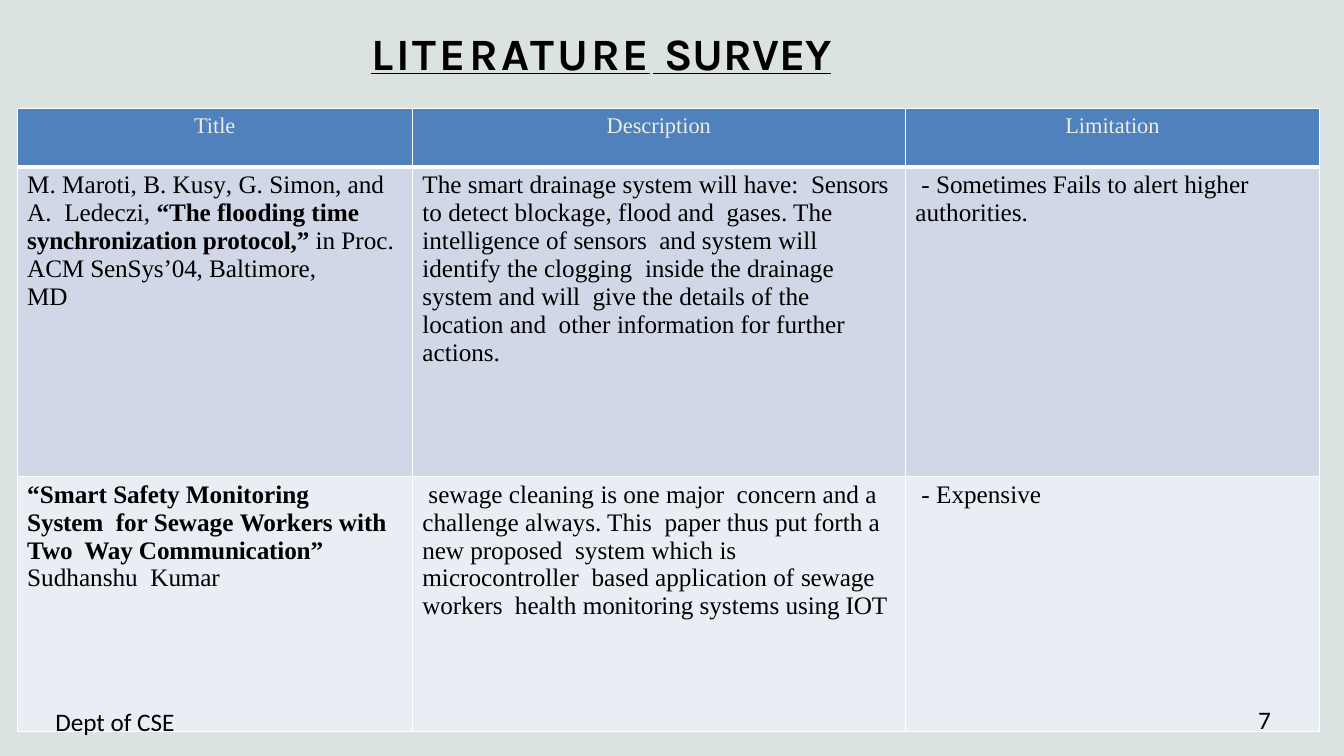
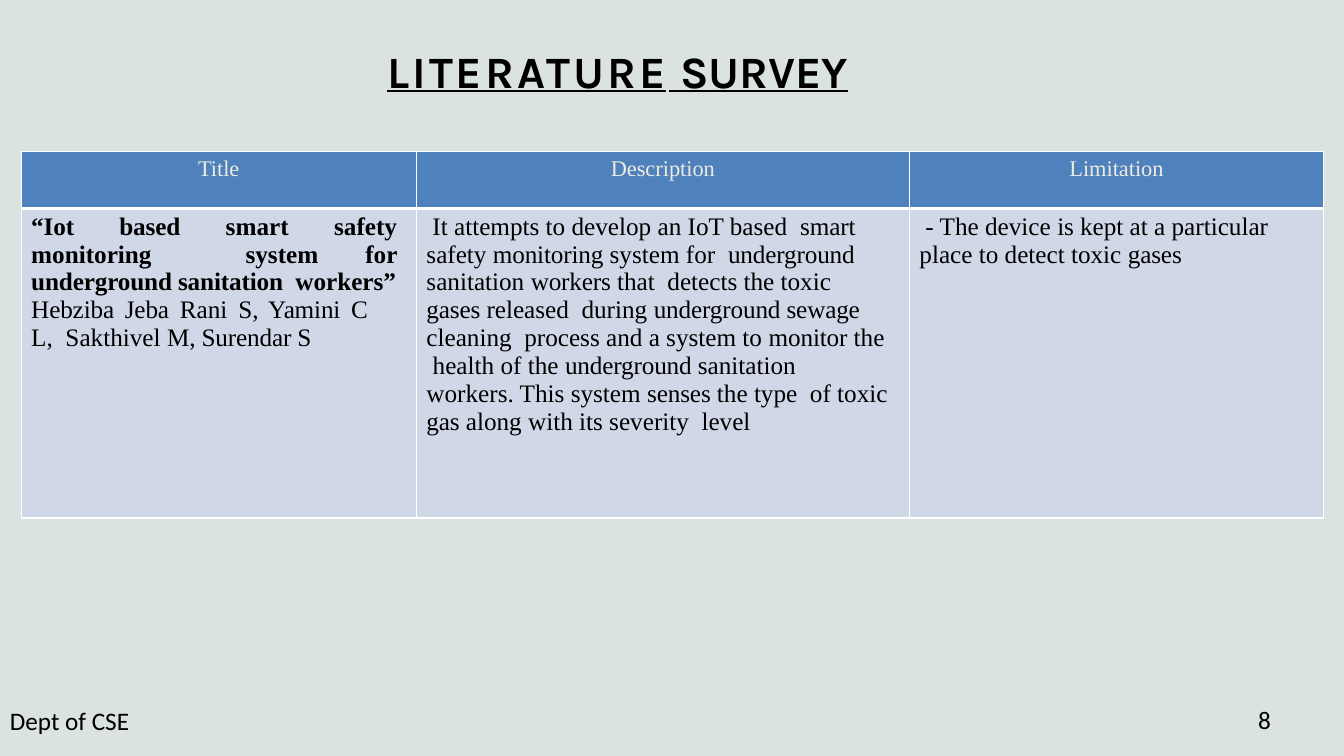
"""Build two literature survey slides."""
from dataclasses import dataclass

from lxml import etree
from pptx import Presentation
from pptx.dml.color import RGBColor
from pptx.enum.text import PP_ALIGN
from pptx.oxml.ns import qn
from pptx.util import Inches, Pt

CENTER, JUSTIFY, LEFT = PP_ALIGN.CENTER, PP_ALIGN.JUSTIFY, PP_ALIGN.LEFT
COLORS = {
    "background": "DAE2E2", "header": "4F81BD", "header_text": "EEECE1",
    "odd_row": "D0D8E8", "even_row": "E9EDF4", "border": "FFFFFF", "text": "000000",
}
BODY_FONT, TITLE_FONT, FOOTER_FONT = "Times New Roman", "Karla", "Calibri"
HEADINGS = ["Title", "Description", "Limitation"]
COLUMN_WIDTHS = [3.92, 4.89, 4.11]
TIGHT_SPACING = -0.1


@dataclass
class Entry:
    """A cell paragraph; * toggles bold and ~ toggles tight spacing."""
    text: str
    right: float = 0
    first_line: float = 0
    align: PP_ALIGN = LEFT


SURVEYS = [
    {
        "number": "7", "title_at": (3.67, 0.25), "table_at": (0.17, 1.08),
        "footer_at": (0.45, 6.96), "row_heights": [0.58, 3.07, 2.53],
        "rows": [
            [
                [Entry("M. Maroti, B. Ku~sy~, G. ~S~imon, and A.  Ledeczi, *~“The ~flooding time  "
                       "~synchronization protocol,” ~*in Proc.  ~ACM SenSys’04, ~Baltimore,", 0.1),
                 Entry("~MD")],
                [Entry("The ~smart~ drainage system ~will ~have:  ~Sensors ~to detect blockage, "
                       "flood and  gases. The intelligence of ~sensors ~ and system will identify "
                       "the clogging  ~inside the ~drainage system and ~will ~ give the details of "
                       "the location and  other ~information ~for further actions.", 0.1)],
                [Entry("- ~Sometimes Fails ~to alert higher  authorities.", 0.1, 0.06)],
            ],
            [
                [Entry("*“Smart ~Safety ~Monitoring ~System  ~for Sewage ~Workers ~with ~Two  Way "
                       "Communication” ~*Sudhanshu  ~Kumar", 0.25)],
                [Entry("sewage cleaning ~is ~one ~major ~ concern and a challenge always. This  "
                       "paper thus put forth a ~new ~proposed  system which ~is ~microcontroller  "
                       "based application of ~sewage workers  ~health ~monitoring ~systems "
                       "~using IOT", 0.1, 0.06)],
                [Entry("- Expensive", 0.1, 0.06)],
            ],
        ],
    },
    {
        "number": "8", "title_at": (3.83, 0.42), "table_at": (0.21, 1.5),
        "footer_at": (0, 6.95), "row_heights": [0.57, 3.07],
        "rows": [
            [
                [Entry("*~“Iot based ~smart safety monitoring  system for ~underground "
                       "sanitation  ~workers”", 0.19, align=JUSTIFY),
                 Entry("~Hebziba Jeba ~Rani ~S, Yamini ~C L,  Sakthivel ~M, Surendar S",
                       0.48, align=JUSTIFY)],
                [Entry("It attempts to develop an IoT based  ~smart ~safety ~monitoring ~system "
                       "for  ~underground ~sanitation ~workers ~that  detects the toxic ~gases "
                       "~released  during ~underground sewage ~cleaning  process and a system to "
                       "~monitor ~the  health of the ~underground ~sanitation  workers. This "
                       "system ~senses ~the type  of toxic ~gas ~along with its severity  level",
                       0.19, 0.06)],
                [Entry("- The device ~is ~kept at a particular  place to detect toxic~ gases",
                       0.1, 0.06)],
            ],
        ],
    },
]


def rgb(name):
    """Return the named colour."""
    return RGBColor.from_string(COLORS[name])


def format_run(run, font, size, color, bold=False, spacing=0):
    """Set the look of a run, with letter spacing in points."""
    run.font.name, run.font.size, run.font.bold = font, Pt(size), bold
    run.font.color.rgb = rgb(color)
    if spacing:
        run.font._element.set("spc", str(round(spacing * 100)))


def add_text_box(slide, left, top, width, height):
    """Add a wrapping text box and return its text frame."""
    text_frame = slide.shapes.add_textbox(
        Inches(left), Inches(top), Inches(width), Inches(height)).text_frame
    text_frame.word_wrap = True
    return text_frame


def add_title(slide, left, top):
    """Add the underlined, letter-spaced slide title."""
    text_frame = add_text_box(slide, left, top, 6.58, 0.55)
    text_frame.margin_left = text_frame.margin_right = text_frame.margin_bottom = 0
    text_frame.margin_top = Inches(0.01)
    paragraph = text_frame.paragraphs[0]
    paragraph._p.get_or_add_pPr().set("marL", str(Inches(0.01)))
    for text, spacing in (("LITERATURE", 2.2), (" ", -0.4), ("SURVEY", -0.1)):
        run = paragraph.add_run()
        run.text = text
        format_run(run, TITLE_FONT, 32, "text", True, spacing)
        run.font.underline = True


def add_footer_text(slide, text, left, top, width):
    """Add one footer label."""
    paragraph = add_text_box(slide, left, top, width, 0.3).paragraphs[0]
    paragraph.text = text
    format_run(paragraph.runs[0], FOOTER_FONT, 18, "text")


def style_cell(cell, fill, bottom_width=1, top_width=1):
    """Set the borders and fill of a cell."""
    properties = cell._tc.get_or_add_tcPr()
    widths = {"a:lnL": 1, "a:lnR": 1, "a:lnT": top_width, "a:lnB": bottom_width}
    for tag, width in widths.items():
        line = etree.SubElement(properties, qn(tag), w=str(Pt(width)))
        solid = etree.SubElement(line, qn("a:solidFill"))
        etree.SubElement(solid, qn("a:srgbClr"), val=COLORS["border"])
    cell.fill.solid()
    cell.fill.fore_color.rgb = rgb(fill)


def fill_paragraph(paragraph, entry, bold):
    """Write an entry as runs and return the closing bold state."""
    paragraph.alignment = entry.align
    properties = paragraph._p.get_or_add_pPr()
    for name, value in (("marL", 0.1), ("marR", entry.right), ("indent", entry.first_line)):
        properties.set(name, str(Inches(value)))
    tight = False
    for bold_index, bold_part in enumerate(entry.text.split("*")):
        bold = bold_index % 2 == 1
        for tight_index, text in enumerate(bold_part.split("~")):
            if tight_index:
                tight = not tight
            if text:
                run = paragraph.add_run()
                run.text = text
                format_run(run, BODY_FONT, 18, "text", bold, TIGHT_SPACING if tight else 0)


def fill_body_cell(cell, entries):
    """Write the paragraphs of a body cell."""
    cell.margin_left = cell.margin_right = cell.margin_bottom = 0
    cell.margin_top = Inches(0.04)
    for index, entry in enumerate(entries):
        text_frame = cell.text_frame
        paragraph = text_frame.add_paragraph() if index else text_frame.paragraphs[0]
        fill_paragraph(paragraph, entry, False)


def add_survey_table(slide, left, top, row_heights, rows):
    """Add the survey table with its header row and body rows."""
    table = slide.shapes.add_table(
        len(row_heights), len(HEADINGS), Inches(left), Inches(top),
        Inches(sum(COLUMN_WIDTHS)), Inches(sum(row_heights))).table
    for column, width in zip(table.columns, COLUMN_WIDTHS):
        column.width = Inches(width)
    for row, height in zip(table.rows, row_heights):
        row.height = Inches(height)
    for column_index, heading in enumerate(HEADINGS):
        cell = table.cell(0, column_index)
        style_cell(cell, "header", bottom_width=3)
        paragraph = cell.text_frame.paragraphs[0]
        paragraph.text = heading
        paragraph.alignment = CENTER
        format_run(paragraph.runs[0], BODY_FONT, 16, "header_text")
    for row_index, row in enumerate(rows, 1):
        for column_index, entries in enumerate(row):
            cell = table.cell(row_index, column_index)
            style_cell(cell, "odd_row" if row_index % 2 else "even_row",
                       top_width=3 if row_index == 1 else 1)
            fill_body_cell(cell, entries)


def add_survey_slide(presentation, survey):
    """Add one survey slide."""
    slide = presentation.slides.add_slide(presentation.slide_layouts[6])
    add_survey_table(slide, *survey["table_at"], survey["row_heights"], survey["rows"])
    add_title(slide, *survey["title_at"])
    add_footer_text(slide, survey["number"], 12.38, 6.94, 0.5)
    add_footer_text(slide, "Dept of CSE", *survey["footer_at"], 4.32)


def main():
    """Build and save the presentation."""
    presentation = Presentation()
    presentation.slide_width, presentation.slide_height = Inches(13.33), Inches(7.5)
    background = presentation.slide_master.background.fill
    background.solid()
    background.fore_color.rgb = rgb("background")
    for survey in SURVEYS:
        add_survey_slide(presentation, survey)
    presentation.save("out.pptx")


if __name__ == "__main__":
    main()
